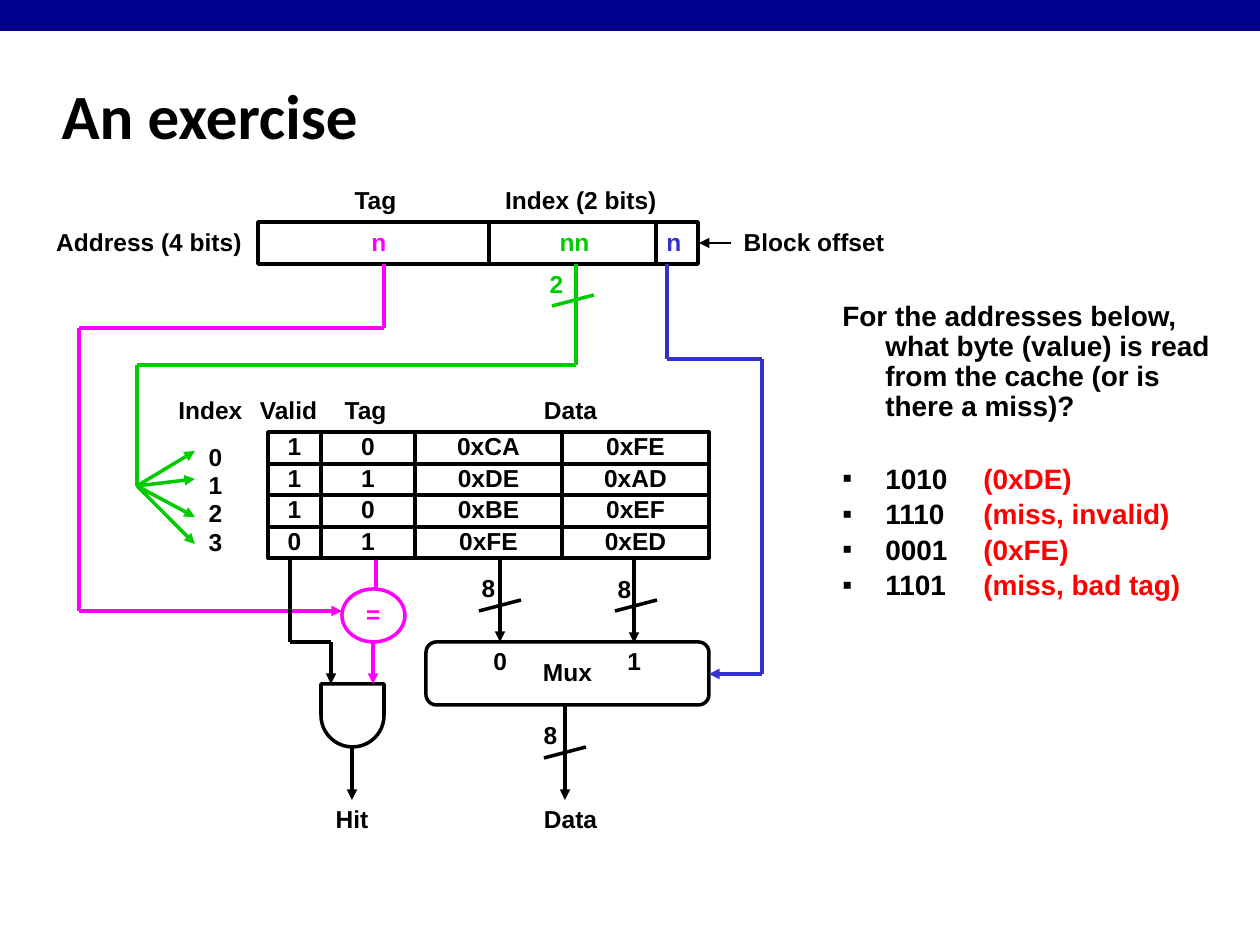
from itertools import pairwise
from lxml.etree import SubElement
from pptx import Presentation
from pptx.dml.color import RGBColor
from pptx.enum.shapes import MSO_CONNECTOR as Connector, MSO_SHAPE as Shape
from pptx.enum.text import MSO_ANCHOR as Anchor, PP_ALIGN as Align
from pptx.oxml.ns import qn
from pptx.util import Pt

PX = 914400 // 126
BLACK = RGBColor(0, 0, 0)
NAVY = RGBColor(0, 0, 0x90)
PINK = RGBColor(0xFF, 0, 0xFF)
GREEN = RGBColor(0, 0xCC, 0)
BLUE = RGBColor(0x33, 0x33, 0xCC)
RED = RGBColor(0xFF, 0, 0)

TITLE = "An exercise"
QUESTION = "For the addresses below, what byte (value) is read from the cache (or is there a miss)?"
ANSWERS = [("1010", "(0xDE)"), ("1110", "(miss, invalid)"),
           ("0001", "(0xFE)"), ("1101", "(miss, bad tag)")]

CACHE = [("1", "0", "0xCA", "0xFE"), ("1", "1", "0xDE", "0xAD"),
         ("1", "0", "0xBE", "0xEF"), ("0", "1", "0xFE", "0xED")]
CACHE_COLUMNS = [268, 321, 415, 562, 709]
CACHE_ROWS = [432, 464, 495, 527, 558]
ADDRESS_COLUMNS = [258, 489, 656, 698]
ADDRESS_TOP, ADDRESS_HEIGHT = 222, 42

LABELS = [
    ("Tag", 375, 201, 67, BLACK), ("Index (2 bits)", 581, 201, 178, BLACK),
    ("Address (4 bits)", 149, 243, 212, BLACK), ("Block offset", 814, 243, 166, BLACK),
    ("n", 379, 243, 40, PINK), ("nn", 574, 243, 55, GREEN), ("n", 674, 243, 40, BLUE),
    ("2", 556, 285, 39, GREEN), ("Index", 210, 411, 89, BLACK),
    ("Valid", 288, 411, 83, BLACK), ("Tag", 365, 411, 67, BLACK),
    ("Data", 570, 411, 79, BLACK), ("0\n1\n2\n3", 215, 501, 39, BLACK),
    ("8", 488, 589, 39, BLACK), ("8", 624, 590, 39, BLACK),
    ("0", 499, 662, 37, BLACK), ("1", 633, 662, 37, BLACK),
    ("8", 550, 736, 39, BLACK), ("Hit", 352, 820, 58, BLACK),
    ("Data", 570, 820, 79, BLACK),
]

FAN = (137, 486)
WIRES = [
    ([(384, 264), (384, 328), (79, 328), (79, 611), (342, 611)], PINK, True),
    ([(376, 560), (376, 589)], PINK, False),
    ([(373, 642), (373, 684)], PINK, True),
    ([(576, 264), (576, 365), (137, 365), FAN], GREEN, False),
    *[([FAN, (195, y)], GREEN, True) for y in (451, 479, 517, 544)],
    ([(667, 264), (667, 359), (762, 359), (762, 674), (709, 674)], BLUE, True),
    ([(290, 560), (290, 642), (331, 642), (331, 684)], BLACK, True),
    ([(500, 560), (500, 642)], BLACK, True),
    ([(634, 560), (634, 643)], BLACK, True),
    ([(352, 747), (352, 800)], BLACK, True),
    ([(565, 705), (565, 800)], BLACK, True),
]
BUS_SLASHES = [(552, 306, GREEN), (479, 611, BLACK), (615, 611, BLACK), (544, 758, BLACK)]

deck = Presentation()
deck.slide_width, deck.slide_height = 1260 * PX, 945 * PX
slide = deck.slides.add_slide(deck.slide_layouts[5])
shapes = slide.shapes


def box(*pixels):
    return [n * PX for n in pixels]


def style(run, size, color, font="Arial"):
    run.font.name, run.font.size, run.font.bold = font, Pt(size), True
    run.font.color.rgb = color


def write(frame, text, color):
    frame.text = text
    frame.vertical_anchor = Anchor.MIDDLE
    frame.word_wrap = False
    frame.margin_top = frame.margin_bottom = 0
    for i, paragraph in enumerate(frame.paragraphs):
        paragraph.alignment = Align.CENTER
        paragraph.line_spacing = 0.9
        paragraph.space_before = Pt(1 if i else 0)
        for run in paragraph.runs:
            style(run, 14, color)


def outline(kind, left, top, width, height, color=BLACK, text=""):
    part = shapes.add_shape(kind, *box(left, top, width, height))
    part.shadow.inherit = False
    part.fill.background()
    part.line.color.rgb, part.line.width = color, Pt(2)
    if text:
        write(part.text_frame, text, color)
    return part


def segment(start, end, color, arrow=False, width=2):
    line = shapes.add_connector(Connector.STRAIGHT, *box(*start, *end))
    line.line.color.rgb, line.line.width = color, Pt(width)
    if arrow:
        SubElement(line.line._get_or_add_ln(), qn("a:tailEnd"), type="triangle")
    SubElement(line._element.spPr, qn("a:effectLst"))


bar = shapes.add_shape(Shape.RECTANGLE, *box(0, 0, 1260, 31))
bar.shadow.inherit = False
bar.fill.solid()
bar.fill.fore_color.rgb = NAVY
bar.line.fill.background()

title = shapes.title
title.left, title.top, title.width, title.height = box(49, 62, 1046, 105)
title.text_frame.text = TITLE
title.text_frame.vertical_anchor = Anchor.MIDDLE
title.text_frame.paragraphs[0].alignment = Align.LEFT
style(title.text_frame.paragraphs[0].runs[0], 36, BLACK, "Calibri")

for left, right in pairwise(ADDRESS_COLUMNS):
    outline(Shape.RECTANGLE, left, ADDRESS_TOP, right - left, ADDRESS_HEIGHT)
for (top, bottom), values in zip(pairwise(CACHE_ROWS), CACHE):
    for (left, right), value in zip(pairwise(CACHE_COLUMNS), values):
        outline(Shape.RECTANGLE, left, top, right - left, bottom - top, text=value)

outline(Shape.OVAL, 342, 589, 63, 53, PINK, "=")
outline(Shape.ROUNDED_RECTANGLE, 426, 642, 283, 63, text="Mux")
outline(Shape.FLOWCHART_DELAY, 321, 684, 63, 63).rotation = 90

for points, color, arrow in WIRES:
    for start, end in pairwise(points):
        segment(start, end, color, arrow and end == points[-1])
for x, y, color in BUS_SLASHES:
    segment((x, y), (x + 42, y - 11), color)
segment((731, 243), (699, 243), BLACK, True, 1)

for text, x, y, width, color in LABELS:
    height = 39 + 29 * text.count("\n")
    label = shapes.add_textbox(*box(x - width // 2, y - height // 2, width, height))
    write(label.text_frame, text, color)

exercise = shapes.add_textbox(*box(830, 296, 411, 566)).text_frame
exercise.word_wrap = True
for i, parts in enumerate([(QUESTION,), *ANSWERS]):
    paragraph = exercise.paragraphs[0] if i == 0 else exercise.add_paragraph()
    paragraph.line_spacing = 0.9
    paragraph.space_before = Pt(24 if i == 1 else 3)
    properties = paragraph._p.get_or_add_pPr()
    properties.set("marL", str(43 * PX))
    properties.set("indent", str(-43 * PX))
    if i:
        SubElement(properties, qn("a:buFont"), typeface="Arial")
        SubElement(properties, qn("a:buChar"), char="▪")
        tabs = SubElement(properties, qn("a:tabLst"))
        SubElement(tabs, qn("a:tab"), pos=str(141 * PX), algn="l")
    paragraph.text = "\t".join(parts[:1] + ("",) * (len(parts) - 1))
    style(paragraph.runs[0], 16, BLACK)
    for answer in parts[1:]:
        run = paragraph.add_run()
        run.text = answer
        style(run, 16, RED)

deck.save("out.pptx")
